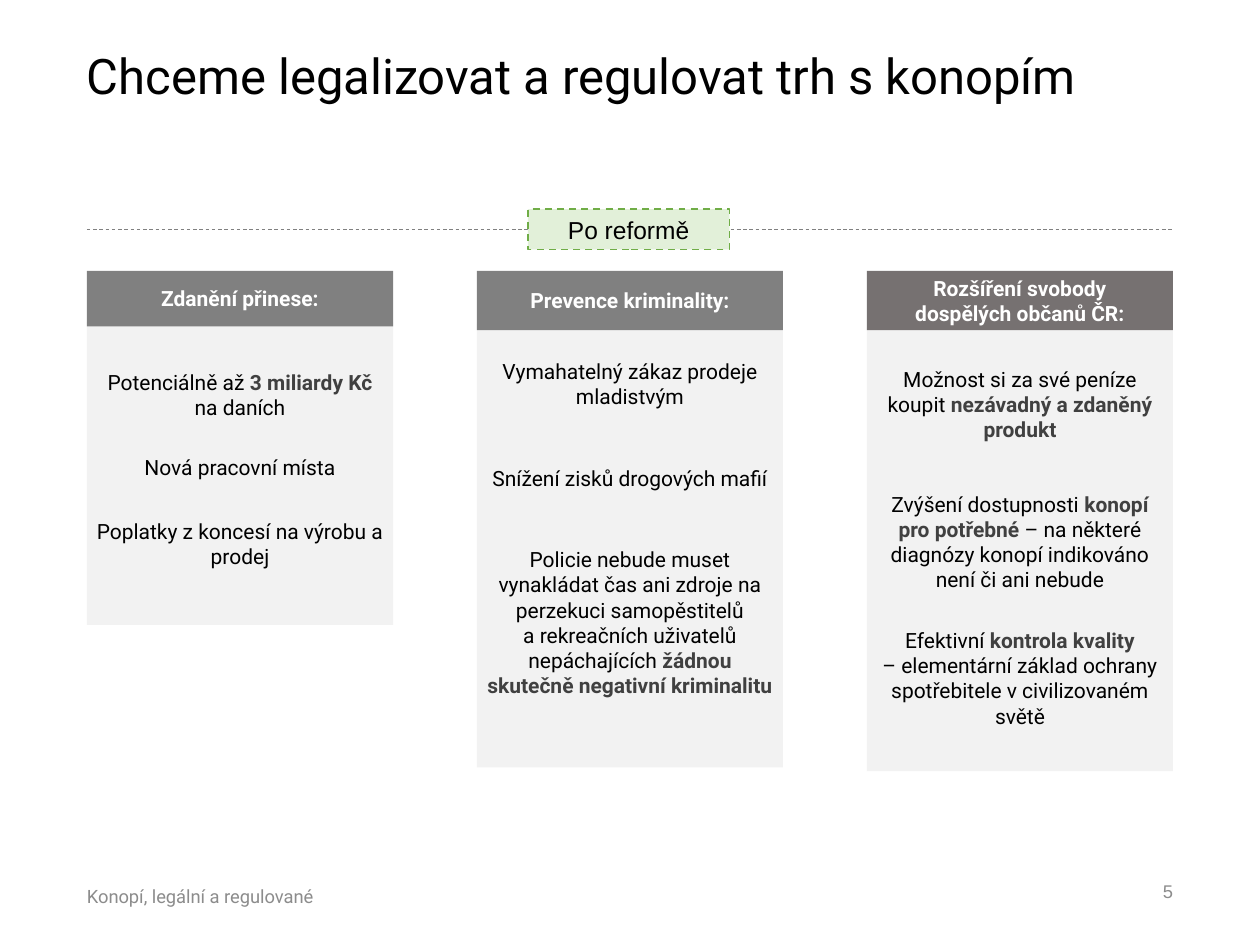
"""Build the slide on legalising and regulating the cannabis market."""
from dataclasses import dataclass

from lxml import etree
from pptx import Presentation
from pptx.dml.color import RGBColor
from pptx.enum.dml import MSO_LINE
from pptx.enum.shapes import MSO_CONNECTOR, MSO_SHAPE
from pptx.enum.text import MSO_ANCHOR, MSO_AUTO_SIZE, PP_ALIGN
from pptx.oxml.ns import qn
from pptx.util import Inches, Pt

RECTANGLE = MSO_SHAPE.RECTANGLE
STRAIGHT = MSO_CONNECTOR.STRAIGHT
DASH = MSO_LINE.DASH
TOP, MIDDLE, BOTTOM = MSO_ANCHOR.TOP, MSO_ANCHOR.MIDDLE, MSO_ANCHOR.BOTTOM
LEFT, CENTER, RIGHT = PP_ALIGN.LEFT, PP_ALIGN.CENTER, PP_ALIGN.RIGHT
NO_AUTOFIT = MSO_AUTO_SIZE.NONE

BLACK = RGBColor(0x00, 0x00, 0x00)
WHITE = RGBColor(0xFF, 0xFF, 0xFF)
EMPHASIS = RGBColor(0x40, 0x40, 0x40)
GRAY = RGBColor(0x80, 0x80, 0x80)
WARM_GRAY = RGBColor(0x76, 0x71, 0x71)
FOOTER_GRAY = RGBColor(0x8C, 0x8C, 0x8C)
PANEL_GRAY = RGBColor(0xF2, 0xF2, 0xF2)
GREEN = RGBColor(0x70, 0xAD, 0x47)
PALE_GREEN = RGBColor(0xE2, 0xF0, 0xD9)

MARGIN, CONTENT_WIDTH = 0.69, 8.62
COLUMN_WIDTH, COLUMN_TOP = 2.43, 2.15
COLUMN_STEP = (CONTENT_WIDTH - COLUMN_WIDTH) / 2
NOTE_INSET = 0.075


@dataclass(frozen=True)
class Style:
    size: float
    color: RGBColor
    font: str = "Roboto"
    bold: bool = False
    align: PP_ALIGN = CENTER
    anchor: MSO_ANCHOR = MIDDLE


@dataclass(frozen=True)
class Note:
    top: float
    height: float
    text: str


@dataclass(frozen=True)
class Column:
    heading: str
    heading_height: float
    heading_fill: RGBColor
    panel_top: float
    panel_height: float
    anchor: MSO_ANCHOR
    notes: tuple[Note, ...]


COLUMNS = (
    Column("Zdanění přinese:", 0.44, GRAY, 2.56, 2.4, MIDDLE, (
        Note(2.96, 0.35, "Potenciálně až *3 miliardy Kč *na daních"),
        Note(3.53, 0.35, "Nová pracovní místa"),
        Note(4.14, 0.35, "Poplatky z koncesí na výrobu a prodej"),
    )),
    Column("Prevence kriminality:", 0.47, GRAY, 2.57, 3.52, MIDDLE, (
        Note(2.87, 0.35, "Vymahatelný zákaz prodeje mladistvým"),
        Note(3.62, 0.35, "Snížení zisků drogových mafií"),
        Note(4.14, 1.6, "Policie nebude muset vynakládat čas ani zdroje na "
             "perzekuci samopěstitelů\na rekreačních uživatelů nepáchajících "
             "*žádnou skutečně negativní kriminalitu*"),
    )),
    Column("Rozšíření svobody\ndospělých občanů ČR:", 0.47, WARM_GRAY, 2.6, 3.52, TOP, (
        Note(2.91, 0.77, "Možnost si za své peníze koupit *nezávadný a zdaněný produkt*"),
        Note(3.9, 0.77, "Zvýšení dostupnosti *konopí pro potřebné *– na některé "
             "diagnózy konopí indikováno není či ani nebude"),
        Note(4.98, 0.77, "Efektivní *kontrola kvality*\n– elementární základ ochrany "
             "spotřebitele v civilizovaném světě"),
    )),
)


def place(shape, left: float, top: float, width: float, height: float) -> None:
    shape.left, shape.top = Inches(left), Inches(top)
    shape.width, shape.height = Inches(width), Inches(height)


def write(shape, text: str, style: Style) -> None:
    """Write text whose asterisks enclose emphasised words."""
    frame = shape.text_frame
    frame.word_wrap = True
    frame.auto_size = NO_AUTOFIT
    frame.vertical_anchor = style.anchor
    frame.margin_left = frame.margin_right = frame.margin_top = frame.margin_bottom = 0
    paragraph = frame.paragraphs[0]
    paragraph.alignment = style.align
    for index, segment in enumerate(text.split("*")):
        emphasised = index % 2 == 1
        for line_index, line in enumerate(segment.split("\n")):
            if line_index:
                paragraph.add_line_break()
            if line:
                run = paragraph.add_run()
                run.text = line
                run.font.name = style.font
                run.font.size = Pt(style.size)
                run.font.bold = style.bold or emphasised
                run.font.color.rgb = EMPHASIS if emphasised else style.color


def add_label(slide, left: float, top: float, width: float, height: float,
              text: str, style: Style) -> None:
    label = slide.shapes.add_textbox(Inches(left), Inches(top), Inches(width), Inches(height))
    write(label, text, style)


def add_panel(slide, left: float, top: float, width: float, height: float, fill: RGBColor):
    panel = slide.shapes.add_shape(
        RECTANGLE, Inches(left), Inches(top), Inches(width), Inches(height))
    panel.shadow.inherit = False
    panel.fill.solid()
    panel.fill.fore_color.rgb = fill
    panel.line.fill.background()
    return panel


def dash_line(line, color: RGBColor, width: float) -> None:
    line.color.rgb = color
    line.width = Pt(width)
    line.dash_style = DASH


def add_column(slide, left: float, column: Column) -> None:
    add_panel(slide, left, column.panel_top, COLUMN_WIDTH, column.panel_height, PANEL_GRAY)
    note_style = Style(12, BLACK, anchor=column.anchor)
    for note in column.notes:
        add_label(slide, left + NOTE_INSET, note.top, COLUMN_WIDTH - 2 * NOTE_INSET,
                  note.height, note.text, note_style)
    heading = add_panel(slide, left, COLUMN_TOP, COLUMN_WIDTH,
                        column.heading_height, column.heading_fill)
    write(heading, column.heading, Style(12, WHITE, bold=True))


def main() -> None:
    deck = Presentation()
    deck.slide_width, deck.slide_height = Inches(10), Inches(7.5)
    slide = deck.slides.add_slide(deck.slide_layouts[5])

    title = slide.shapes.title
    place(title, MARGIN, 0.35, CONTENT_WIDTH, 0.48)
    write(title, "Chceme legalizovat a regulovat trh s konopím",
          Style(28, BLACK, align=LEFT, anchor=BOTTOM))

    for index, column in enumerate(COLUMNS):
        add_column(slide, MARGIN + index * COLUMN_STEP, column)

    divider = slide.shapes.add_connector(
        STRAIGHT, Inches(MARGIN), Inches(1.82), Inches(MARGIN + CONTENT_WIDTH), Inches(1.82))
    dash_line(divider.line, GRAY, 0.5)
    etree.SubElement(divider.line._get_or_add_ln().getparent(), qn("a:effectLst"))

    reform = add_panel(slide, 4.19, 1.66, 1.6, 0.32, PALE_GREEN)
    dash_line(reform.line, GREEN, 1)
    write(reform, "Po reformě", Style(14, BLACK, font="Arial"))

    add_label(slide, MARGIN, 6.91, 5, 0.4, "Konopí, legální a regulované",
              Style(10.5, FOOTER_GRAY, align=LEFT))
    add_label(slide, 7.06, 6.87, 2.25, 0.4, "5",
              Style(10.5, FOOTER_GRAY, font="Arial", align=RIGHT))
    deck.save("out.pptx")


if __name__ == "__main__":
    main()
